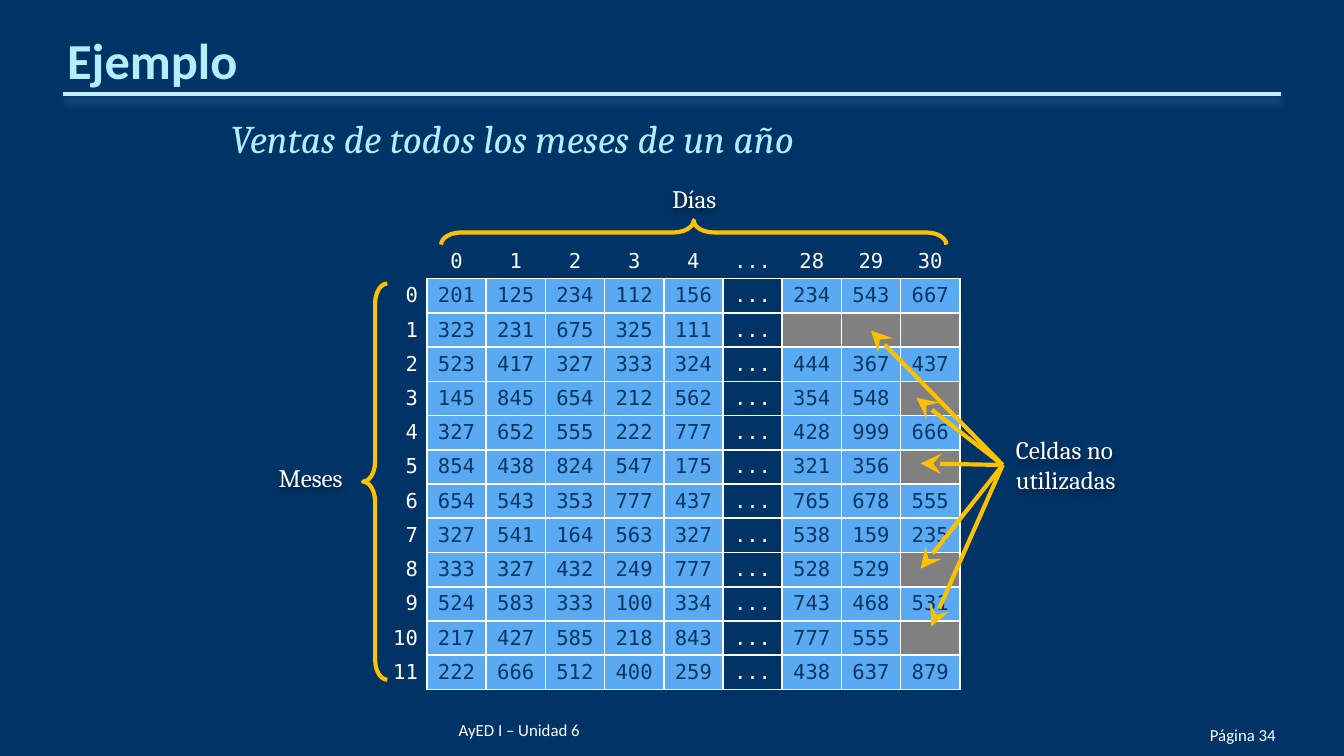
from lxml.etree import SubElement
from pptx import Presentation
from pptx.dml.color import RGBColor
from pptx.enum.shapes import MSO_CONNECTOR, MSO_SHAPE
from pptx.enum.text import MSO_ANCHOR, PP_ALIGN
from pptx.oxml.ns import qn
from pptx.util import Cm, Pt

NAVY = RGBColor(0x00, 0x33, 0x66)
PALE = RGBColor(0xB5, 0xED, 0xFD)
RULE = RGBColor(0xC4, 0xEF, 0xFF)
GLOW = RGBColor(0x5C, 0x8C, 0xB8)
WHITE = RGBColor(0xFF, 0xFF, 0xFF)
BLACK = RGBColor(0x00, 0x00, 0x00)
GOLD = RGBColor(0xFF, 0xC0, 0x00)
BLUE = RGBColor(0x59, 0xAA, 0xF2)
GREY = RGBColor(0x80, 0x80, 0x80)
INK = RGBColor(0x08, 0x37, 0x63)

DAYS = "0 1 2 3 4 ... 28 29 30".split()
# One row per month; "-" is a day that the month does not have
SALES = [row.split() for row in (
    "201 125 234 112 156 ... 234 543 667",
    "323 231 675 325 111 ... - - -",
    "523 417 327 333 324 ... 444 367 437",
    "145 845 654 212 562 ... 354 548 -",
    "327 652 555 222 777 ... 428 999 666",
    "854 438 824 547 175 ... 321 356 -",
    "654 543 353 777 437 ... 765 678 555",
    "327 541 164 563 327 ... 538 159 235",
    "333 327 432 249 777 ... 528 529 -",
    "524 583 333 100 334 ... 743 468 531",
    "217 427 585 218 843 ... 777 555 -",
    "222 666 512 400 259 ... 438 637 879",
)]


def add_shadow(shape, color, alpha, blur, distance):
    effects = SubElement(shape._element.spPr, qn("a:effectLst"))
    shadow = SubElement(effects, qn("a:outerShdw"), blurRad=str(Pt(blur)),
                        dist=str(Pt(distance)), dir="5400000", rotWithShape="0")
    fill = SubElement(shadow, qn("a:srgbClr"), val=str(color))
    SubElement(fill, qn("a:alpha"), val=str(alpha * 1000))


def add_text(shapes, box, text, font, size, color=WHITE, anchor=MSO_ANCHOR.TOP,
             align=PP_ALIGN.LEFT, inset=True, wrap=True, bold=False, italic=False):
    shape = shapes.add_textbox(*map(Cm, box))
    frame = shape.text_frame
    frame.word_wrap = wrap
    frame.vertical_anchor = anchor
    if not inset:
        frame.margin_left = frame.margin_right = frame.margin_top = frame.margin_bottom = 0
    frame.text = text
    paragraph = frame.paragraphs[0]
    paragraph.alignment = align
    for run in paragraph.runs:
        run.font.name, run.font.size = font, Pt(size)
        run.font.bold, run.font.italic = bold, italic
        run.font.color.rgb = color
    return shape


def add_label(shapes, box, text, align=PP_ALIGN.CENTER):
    label = add_text(shapes, box, text, "Cambria", 13.5, align=align, wrap=False)
    add_shadow(label, BLACK, 40, 3, 2)


def add_line(shapes, start, end, color):
    line = shapes.add_connector(MSO_CONNECTOR.STRAIGHT, *map(Cm, (*start, *end)))
    line.line.color.rgb = color
    line.line.width = Pt(2.25)
    return line


def add_brace(slide, box, rotation=0):
    brace = slide.shapes.add_shape(MSO_SHAPE.LEFT_BRACE, *map(Cm, box))
    brace.rotation = rotation
    brace.adjustments[0] = 0.824
    brace.shadow.inherit = False
    brace.fill.background()
    brace.line.color.rgb = GOLD
    brace.line.width = Pt(2.25)


def add_heading(slide, box):
    left, top, width, height = box
    rule_y = top + height + 0.09
    rule = add_line(slide.shapes, (left - 0.08, rule_y), (left + width + 0.08, rule_y), RULE)
    add_shadow(rule, GLOW, 48, 4.5, 3)
    add_text(slide.shapes, box, "Ejemplo", "Calibri", 27, PALE,
             MSO_ANCHOR.BOTTOM, inset=False, bold=True)
    add_text(slide.shapes, (left + 2.84, top + 1.53, 17.42, 1.2),
             "Ventas de todos los meses de un año", "Cambria", 21, PALE, italic=True)


def add_footer(slide, box):
    left, top, width, height = box
    add_text(slide.shapes, (left, top, 8.92, height), "AyED I – Unidad 6",
             "Calibri", 9, anchor=MSO_ANCHOR.BOTTOM, inset=False)
    add_text(slide.shapes, (left + width - 2.49, top + 0.1, 2.49, height), "Página 34",
             "Calibri", 9, anchor=MSO_ANCHOR.BOTTOM, align=PP_ALIGN.RIGHT, inset=False)


def format_cell(cell, text, align, color, fill=None, sides=()):
    cell.margin_left = cell.margin_right = Cm(0.17)
    cell.margin_top = cell.margin_bottom = Cm(0.09)
    cell.vertical_anchor = MSO_ANCHOR.MIDDLE
    cell.text = text
    paragraph = cell.text_frame.paragraphs[0]
    paragraph.alignment = align
    for run in paragraph.runs:
        run.font.name, run.font.size = "DejaVu Sans Mono", Pt(11)
        run.font.color.rgb = color
    if not text:
        # Keeps an empty cell from stretching its row
        SubElement(paragraph._p, qn("a:endParaRPr"), sz="1100")
    for side in sides:
        border = SubElement(cell._tc.get_or_add_tcPr(), qn(f"a:ln{side}"), w=str(Pt(1)))
        solid = SubElement(border, qn("a:solidFill"))
        SubElement(solid, qn("a:srgbClr"), val=str(WHITE))
    if fill is None:
        cell.fill.background()
    else:
        cell.fill.solid()
        cell.fill.fore_color.rgb = fill


def add_sales_table(slide, box):
    left, top, width, height = box
    rows, columns = len(SALES) + 1, len(DAYS) + 1
    table = slide.shapes.add_table(rows, columns, *map(Cm, box)).table
    table.first_row = table.horz_banding = False
    # Plain style without grid
    style = table._tbl.tblPr.find(qn("a:tableStyleId"))
    style.text = "{2D5ABB26-0587-4C30-8999-92F81FD0307C}"
    for column in table.columns:
        column.width = Cm(width / columns)
    for row in table.rows:
        row.height = Cm(height / rows)

    format_cell(table.cell(0, 0), "", PP_ALIGN.CENTER, WHITE)
    for c, day in enumerate(DAYS, 1):
        format_cell(table.cell(0, c), day, PP_ALIGN.CENTER, WHITE, sides="B")
    for r, sales in enumerate(SALES, 1):
        format_cell(table.cell(r, 0), str(r - 1), PP_ALIGN.RIGHT, WHITE, sides="R")
        for c, value in enumerate(sales, 1):
            text = "" if value == "-" else value
            fill = {"-": GREY, "...": None}.get(value, BLUE)
            color = WHITE if value == "..." else INK
            format_cell(table.cell(r, c), text, PP_ALIGN.CENTER, color, fill, "LRTB")


def add_axes(slide, box):
    left, top, width, height = box
    # Days, above the columns
    add_label(slide.shapes, (left + 5.47, top - 1.27, 1.4, 0.84), "Días")
    add_brace(slide, (left + 5.93, top - 5.0, 0.46, 9.55), 90)
    # Months, beside the rows
    add_label(slide.shapes, (left - 1.97, top + 3.99, 1.78, 0.84), "Meses")
    add_brace(slide, (left - 0.09, top + 0.74, 0.46, 7.49))


def add_unused_note(slide, box):
    left, top, width, height = box
    shapes = slide.shapes.add_group_shape().shapes
    origin = (left + 2.49, top + 2.54)
    add_label(shapes, (origin[0], top + 1.83, width - 2.49, 1.42),
              "Celdas no\vutilizadas", PP_ALIGN.LEFT)
    for x, y in ((0, 0), (0.86, 1.27), (0.94, 2.51), (0.94, 4.5), (1.14, height)):
        arrow = add_line(shapes, origin, (left + x, top + y), GOLD)
        SubElement(arrow.line._get_or_add_ln(), qn("a:tailEnd"),
                   type="stealth", w="lg", len="lg")
        SubElement(arrow._element.spPr, qn("a:effectLst"))


def main():
    presentation = Presentation()
    presentation.slide_width, presentation.slide_height = Cm(25.4), Cm(14.29)
    slide = presentation.slides.add_slide(presentation.slide_layouts[6])
    slide.background.fill.solid()
    slide.background.fill.fore_color.rgb = NAVY

    table_box = (6.95, 4.62, 11.2, 8.39)
    add_heading(slide, (1.27, 0.5, 22.86, 1.19))
    add_footer(slide, (8.67, 13.23, 15.44, 0.76))
    add_sales_table(slide, table_box)
    add_axes(slide, table_box)
    add_unused_note(slide, (16.46, 6.25, 5.08, 5.59))
    presentation.save("out.pptx")


if __name__ == "__main__":
    main()
